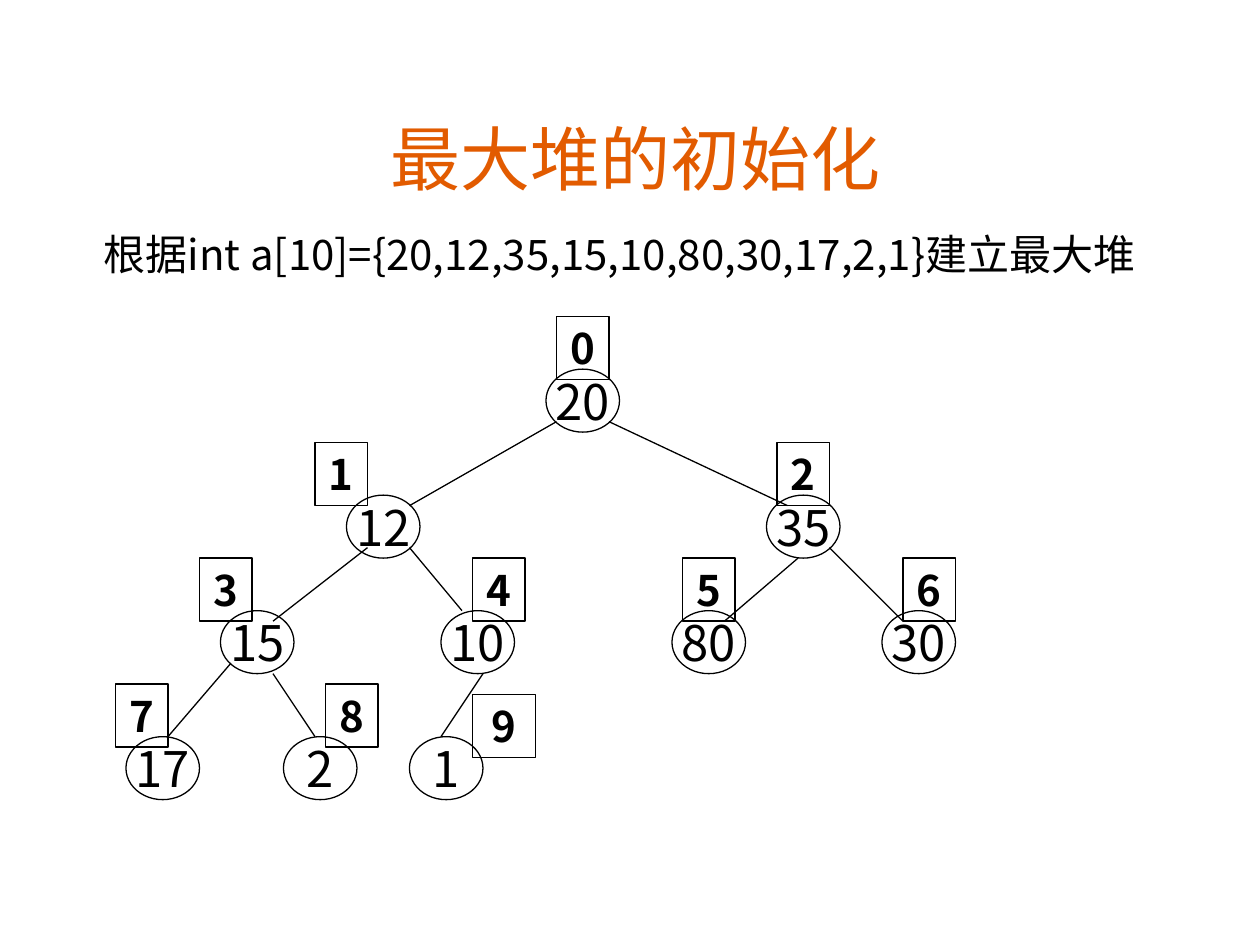
"""Builds the slide on initialising a max heap, with its tree and array indexes."""
from lxml.etree import SubElement
from pptx import Presentation
from pptx.dml.color import RGBColor
from pptx.enum.shapes import MSO_CONNECTOR, MSO_SHAPE
from pptx.enum.text import MSO_ANCHOR, PP_ALIGN
from pptx.oxml.ns import qn
from pptx.util import Inches, Pt

ORANGE = RGBColor(0xE2, 0x5B, 0x00)
BLACK = RGBColor(0, 0, 0)

LEVELS = [0, 12, 23, 35]
NODES = [
    (20, 52, 0), (12, 33, 1), (35, 73, 1), (15, 21, 2), (10, 42, 2),
    (80, 64, 2), (30, 84, 2), (17, 12, 3), (2, 27, 3), (1, 39, 3),
]
EDGES = [
    (53, 5, 39, 13), (35, 17, 26, 24), (22, 28, 16, 35),
    (39, 17, 44, 23), (26, 29, 30, 35), (46, 29, 42, 35),
    (58, 5, 75, 13), (76, 18, 69, 24), (79, 17, 86, 24),
]
INDEXES = [
    (53, -5, 5), (30, 7, 5), (74, 7, 5), (19, 18, 5), (45, 18, 5),
    (65, 18, 5), (86, 18, 5), (11, 30, 5), (31, 30, 5), (45, 31, 6),
]


class HeapSlide:
    cell = 1 / 12
    tree_top = 2.93
    body_font = "Noto Sans CJK SC"
    title_font = "Comic Neue"

    def __init__(self, deck):
        self.page = deck.slides.add_slide(deck.slide_layouts[5])
        self.tree = self.page.shapes.add_group_shape()

    def x(self, columns):
        return Inches(columns * self.cell)

    def y(self, rows):
        return Inches(self.tree_top + rows * self.cell)

    def area(self, column, row, columns, rows):
        return self.x(column), self.y(row), self.x(columns), self.x(rows)

    def add_text(self, box, text, size, font=body_font, color=BLACK, bold=False,
                 anchor=MSO_ANCHOR.MIDDLE, wrap=True):
        frame = box.text_frame
        frame.word_wrap = wrap
        frame.vertical_anchor = anchor
        para = frame.paragraphs[0]
        para.alignment = PP_ALIGN.CENTER
        span = para.add_run()
        span.text = text
        span.font.size = Pt(size)
        span.font.name = font
        span.font.bold = bold
        span.font.color.rgb = color
        east_asian = SubElement(span.font._element, qn("a:ea"))
        east_asian.set("typeface", self.body_font)

    def outline(self, shape):
        shape.shadow.inherit = False
        shape.fill.background()
        shape.line.color.rgb = BLACK
        shape.line.width = Pt(0.75)

    def title(self, text):
        box = self.page.shapes.title
        box.left, box.top, box.width, box.height = self.area(9, -26.2, 103, 10)
        box.text_frame.margin_bottom = 0
        self.add_text(box, text, 40, self.title_font, ORANGE, anchor=MSO_ANCHOR.BOTTOM)

    def statement(self, text):
        box = self.page.shapes.add_textbox(*self.area(6, -14, 106, 6))
        self.add_text(box, text, 24)

    def node(self, value, column, level):
        circle = self.tree.shapes.add_shape(
            MSO_SHAPE.FLOWCHART_CONNECTOR, *self.area(column, LEVELS[level], 7, 6))
        self.outline(circle)
        self.add_text(circle, str(value), 28, wrap=False)

    def edge(self, column, row, end_column, end_row):
        line = self.tree.shapes.add_connector(
            MSO_CONNECTOR.STRAIGHT, self.x(column), self.y(row),
            self.x(end_column), self.y(end_row))
        line.line.color.rgb = BLACK
        line.line.width = Pt(0.75)
        SubElement(line._element.spPr, qn("a:effectLst"))

    def index(self, number, column, row, columns):
        square = self.page.shapes.add_shape(
            MSO_SHAPE.RECTANGLE, *self.area(column, row, columns, 6))
        self.outline(square)
        self.add_text(square, str(number), 24, bold=True)


def main():
    deck = Presentation()
    deck.slide_width, deck.slide_height = Inches(10), Inches(7.5)
    slide = HeapSlide(deck)
    slide.title("最大堆的初始化")
    slide.statement("根据int a[10]={20,12,35,15,10,80,30,17,2,1}建立最大堆")
    for node in NODES:
        slide.node(*node)
    for edge in EDGES:
        slide.edge(*edge)
    for number, place in enumerate(INDEXES):
        slide.index(number, *place)
    deck.save("out.pptx")


if __name__ == "__main__":
    main()
